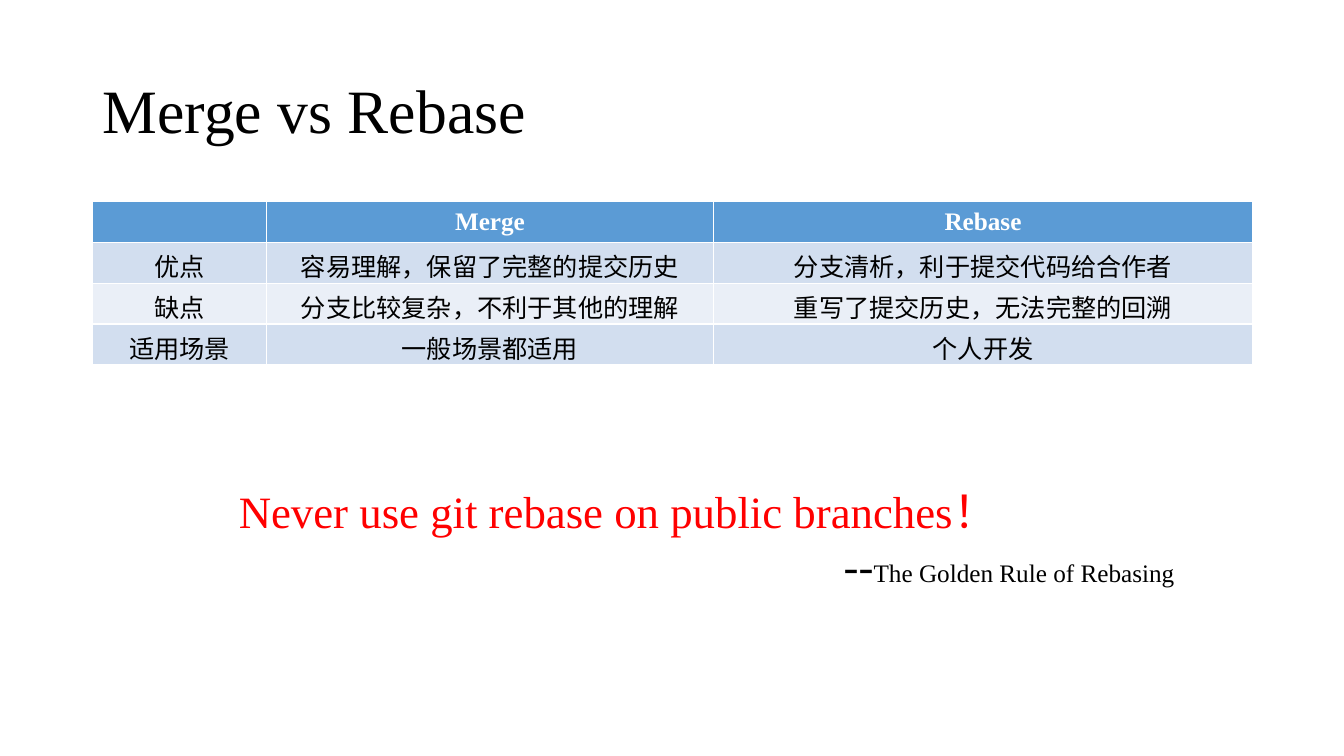
from pptx import Presentation
from pptx.dml.color import RGBColor
from pptx.enum.text import MSO_ANCHOR as Anchor, PP_ALIGN as Align
from pptx.util import Inches, Pt

FONT = "Times New Roman"
BLACK = RGBColor(0x00, 0x00, 0x00)
WHITE = RGBColor(0xFF, 0xFF, 0xFF)
RED = RGBColor(0xFF, 0x00, 0x00)
HEADER_BLUE = RGBColor(0x5B, 0x9B, 0xD5)
BANDS = [RGBColor(0xD2, 0xDE, 0xEF), RGBColor(0xEA, 0xEF, 0xF7)]

COLUMN_WIDTHS = [1.72, 4.44, 5.34]
COMPARISON = [
    ["", "Merge", "Rebase"],
    ["优点", "容易理解，保留了完整的提交历史", "分支清析，利于提交代码给合作者"],
    ["缺点", "分支比较复杂，不利于其他的理解", "重写了提交历史，无法完整的回溯"],
    ["适用场景", "一般场景都适用", "个人开发"],
]


def style(paragraph, size, color, bold=False):
    font = paragraph.font
    font.name, font.size, font.bold = FONT, Pt(size), bold
    font.color.rgb = color


def add_frame(slide, box, anchor):
    frame = slide.shapes.add_textbox(*map(Inches, box)).text_frame
    frame.word_wrap = True
    frame.vertical_anchor = anchor
    return frame


def add_title(slide, box):
    title = add_frame(slide, box, Anchor.MIDDLE).paragraphs[0]
    title.text = "Merge vs Rebase"
    title.line_spacing = 0.9
    style(title, 44, BLACK)


def add_comparison(slide, box):
    table = slide.shapes.add_table(
        len(COMPARISON), len(COLUMN_WIDTHS), *map(Inches, box)).table
    for column, width in zip(table.columns, COLUMN_WIDTHS):
        column.width = Inches(width)
    for r, entries in enumerate(COMPARISON):
        header = r == 0
        for c, entry in enumerate(entries):
            cell = table.cell(r, c)
            cell.text = entry
            cell.vertical_anchor = Anchor.MIDDLE
            cell.fill.solid()
            cell.fill.fore_color.rgb = HEADER_BLUE if header else BANDS[(r - 1) % 2]
            label = cell.text_frame.paragraphs[0]
            label.alignment = Align.CENTER
            style(label, 18, WHITE if header else BLACK, header)


def add_golden_rule(slide, box):
    frame = add_frame(slide, box, Anchor.TOP)
    rule = frame.paragraphs[0]
    rule.text = "Never use git rebase on public branches！"
    style(rule, 32, RED)

    source = frame.add_paragraph()
    style(source, 32, BLACK)
    source._p.get_or_add_pPr().set("marL", str(Inches(6)))
    source.add_run().text = "--"
    name = source.add_run()
    name.text = "The Golden Rule of Rebasing"
    name.font.size = Pt(18)


def main():
    deck = Presentation()
    deck.slide_width, deck.slide_height = Inches(13.33), Inches(7.5)
    slide = deck.slides.add_slide(deck.slide_layouts[6])
    add_title(slide, (0.92, 0.4, 11.5, 1.45))
    add_comparison(slide, (0.92, 2, 11.5, 1.62))
    add_golden_rule(slide, (2.27, 4.75, 9.57, 1.72))
    deck.save("out.pptx")


if __name__ == "__main__":
    main()
